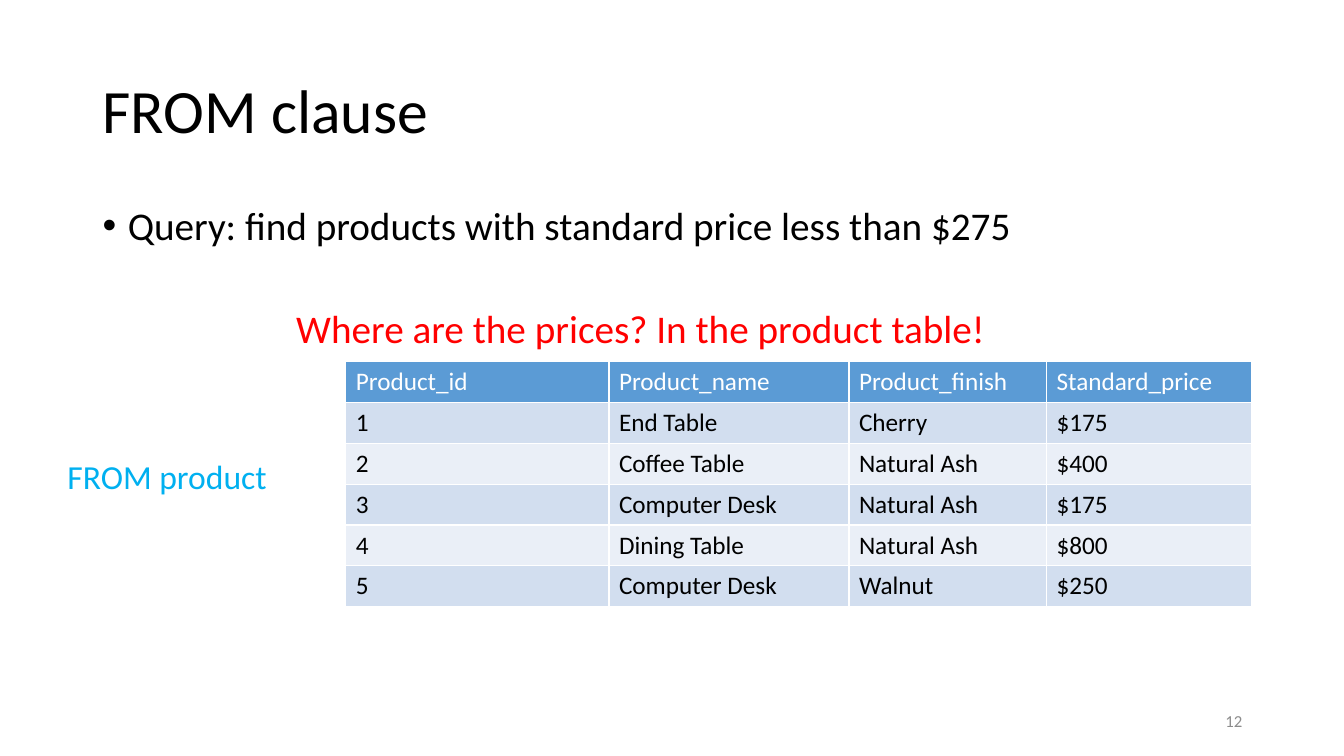
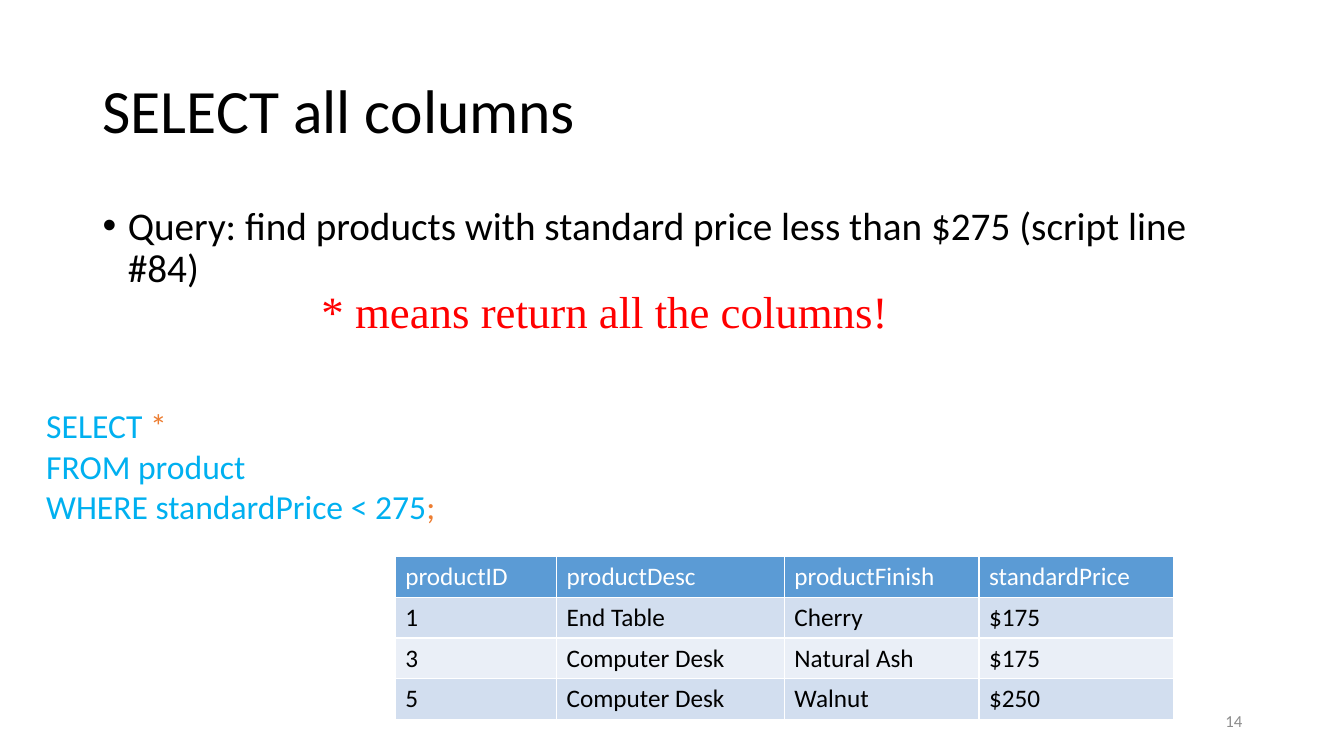
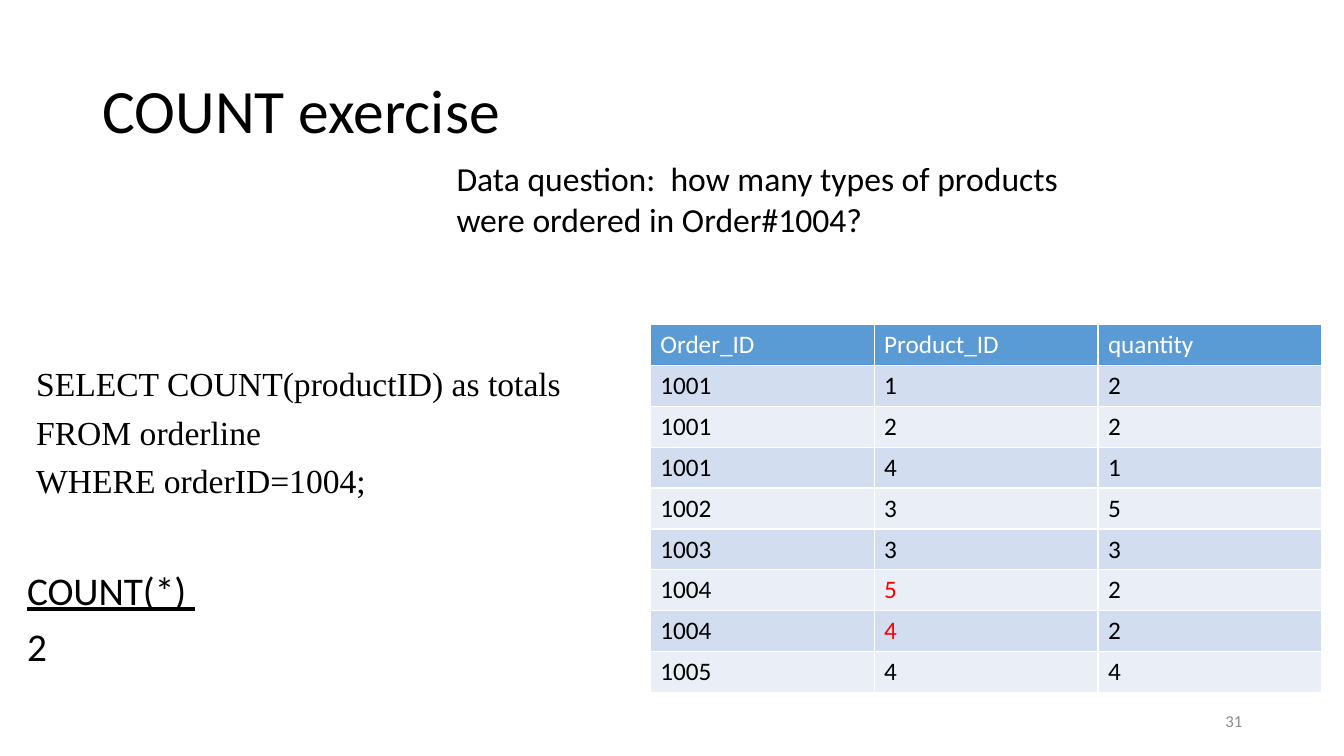
"""Build three slides on SQL clauses, each with text and a product or order table."""
from dataclasses import dataclass

import lxml.etree
import pptx
import pptx.dml.color
import pptx.enum.text
import pptx.oxml.ns
import pptx.slide
import pptx.util

Inches = pptx.util.Inches
Pt = pptx.util.Pt
qn = pptx.oxml.ns.qn
Align = pptx.enum.text.PP_ALIGN
Anchor = pptx.enum.text.MSO_ANCHOR

HUES = {
    "black": "000000", "white": "FFFFFF", "gray": "8C8C8C", "red": "FF0000",
    "cyan": "00B0F0", "orange": "ED7D31",
    "head": "5B9BD5", "odd": "D2DEEF", "even": "EAEFF7",
}
SANS = "Calibri"
SERIF = "Times New Roman"

Line = tuple[str, ...]
Box = tuple[float, float, float, float]


@dataclass(frozen=True)
class Text:
    """A text box; the first run of a line takes hue, later runs take accent."""
    box: Box
    lines: tuple[Line, ...]
    size: int
    hue: str = "black"
    accent: str = "orange"
    font: str = SANS
    left: float = 0
    hang: float = 0
    before: int = 0
    space: float = 1.0
    bullet: str = ""
    under: int = 0
    align: Align = Align.LEFT
    anchor: Anchor = Anchor.TOP


@dataclass(frozen=True)
class Grid:
    """A table; rows whose first cell equals mark show their second cell in red."""
    box: Box
    cols: tuple[float, ...]
    rows: tuple[Line, ...]
    mark: str = ""


@dataclass(frozen=True)
class Page:
    """A slide with its title, number and contents."""
    title: str
    num: int
    texts: tuple[Text, ...]
    grid: Grid


def color(hue: str) -> pptx.dml.color.RGBColor:
    """Look up a named colour."""
    return pptx.dml.color.RGBColor.from_string(HUES[hue])


def style(run, font: str, size: int, hue: str, under: bool = False) -> None:
    """Format one run."""
    run.font.name = font
    run.font.size = Pt(size)
    run.font.bold = False
    run.font.underline = under
    run.font.color.rgb = color(hue)


def indent(para, text: Text) -> None:
    """Set the indents and the bullet of a paragraph."""
    props = para._p.get_or_add_pPr()
    props.set("marL", str(Inches(text.left)))
    props.set("indent", str(Inches(-text.hang)))
    if text.bullet:
        face = lxml.etree.SubElement(props, qn("a:buFont"))
        face.set("typeface", "Arial")
        mark = lxml.etree.SubElement(props, qn("a:buChar"))
        mark.set("char", text.bullet)


def write(slide: pptx.slide.Slide, text: Text) -> None:
    """Draw a text box."""
    frame = slide.shapes.add_textbox(*map(Inches, text.box)).text_frame
    frame.word_wrap = True
    frame.vertical_anchor = text.anchor
    for i, line in enumerate(text.lines):
        para = frame.add_paragraph() if i else frame.paragraphs[0]
        para.text = line[0]
        for part in line[1:]:
            para.add_run().text = part
        para.alignment = text.align
        para.line_spacing = text.space
        para.space_before = Pt(text.before)
        indent(para, text)
        for j, run in enumerate(para.runs):
            style(run, text.font, text.size, text.accent if j else text.hue, i < text.under)


def border(cell) -> None:
    """Give a cell thin white borders."""
    props = cell._tc.get_or_add_tcPr()
    for side in ("a:lnL", "a:lnR", "a:lnT", "a:lnB"):
        edge = lxml.etree.SubElement(props, qn(side))
        edge.set("w", str(Pt(1)))
        fill = lxml.etree.SubElement(edge, qn("a:solidFill"))
        lxml.etree.SubElement(fill, qn("a:srgbClr")).set("val", HUES["white"])


def tabulate(slide: pptx.slide.Slide, grid: Grid) -> None:
    """Draw a table with a header and banded rows."""
    count = len(grid.rows)
    table = slide.shapes.add_table(count, len(grid.cols), *map(Inches, grid.box)).table
    table.first_row = table.horz_banding = False
    for col, width in zip(table.columns, grid.cols):
        col.width = Inches(width)
    for i, row in enumerate(grid.rows):
        table.rows[i].height = Inches(grid.box[3] / count)
        band = ("odd" if i % 2 else "even") if i else "head"
        for j, value in enumerate(row):
            cell = table.cell(i, j)
            border(cell)
            cell.fill.solid()
            cell.fill.fore_color.rgb = color(band)
            cell.text_frame.text = value
            hue = "black" if i else "white"
            if j == 1 and row[0] == grid.mark:
                hue = "red"
            style(cell.text_frame.paragraphs[0].runs[0], SANS, 18, hue)


def title(words: str) -> Text:
    """Make a slide title."""
    return Text((0.92, 0.4, 11.5, 1.45), ((words,),), 44, space=0.9, anchor=Anchor.MIDDLE)


def number(num: int) -> Text:
    """Make a slide number."""
    return Text((9.42, 6.95, 3, 0.4), ((str(num),),), 12, "gray",
                align=Align.RIGHT, anchor=Anchor.MIDDLE)


def body(words: str) -> Text:
    """Make the bulleted body."""
    return Text((0.92, 2, 11.5, 4.76), ((words,),), 28, left=0.25, hang=0.25,
                before=10, space=0.9, bullet="•")


GOODS = (
    ("1", "End Table", "Cherry", "$175"),
    ("2", "Coffee Table", "Natural Ash", "$400"),
    ("3", "Computer Desk", "Natural Ash", "$175"),
    ("4", "Dining Table", "Natural Ash", "$800"),
    ("5", "Computer Desk", "Walnut", "$250"),
)
CHEAP = tuple(row for row in GOODS if int(row[3].strip("$")) < 275)
ORDERS = (
    ("1001", "1", "2"),
    ("1001", "2", "2"),
    ("1001", "4", "1"),
    ("1002", "3", "5"),
    ("1003", "3", "3"),
    ("1004", "5", "2"),
    ("1004", "4", "2"),
    ("1005", "4", "4"),
)
QUERY = "Query: find products with standard price less than $275"

PAGES = (
    Page("FROM clause", 12, (
        body(QUERY),
        Text((2.84, 2.97, 8.37, 0.57),
             (("Where are the prices? In the product table!",),), 28, "red"),
        Text((0.07, 4.47, 2.78, 0.5), (("FROM product",),), 24, "cyan", left=0.5),
    ), Grid((3.43, 3.59, 8.99, 2.43), (2.61, 2.38, 1.96, 2.03),
            (("Product_id", "Product_name", "Product_finish", "Standard_price"), *GOODS))),
    Page("SELECT all columns", 14, (
        body(f"{QUERY} (script line #84)"),
        Text((2.59, 2.77, 8.1, 1.04), (("* means return all the columns!",),), 32, "red",
             font=SERIF, left=0.5),
        Text((-0.14, 3.97, 6.67, 1.31),
             (("SELECT ", "*"), ("FROM product",), ("WHERE standardPrice < 275", ";")),
             24, "cyan", left=0.5),
    ), Grid((3.92, 5.52, 7.73, 1.62), (1.6, 2.26, 1.93, 1.93),
            (("productID", "productDesc", "productFinish", "standardPrice"), *CHEAP))),
    Page("COUNT exercise", 31, (
        Text((0.17, 5.62, 8.2, 1.89), (("COUNT(*) ",), ("2",)), 28,
             left=0.25, hang=0.25, before=10, space=0.9, under=1),
        Text((0.17, 3.55, 8.2, 1.9),
             (("SELECT COUNT(productID) as totals",), ("FROM orderline",),
              ("WHERE orderID=1004;",)),
             24, font=SERIF, left=0.4, hang=0.31, before=6),
        Text((4.43, 1.52, 6.67, 0.91),
             (("Data question:  how many types of products were ordered in Order#1004?",),), 24),
    ), Grid((6.45, 3.22, 6.67, 3.65), (2.22,) * 3,
            (("Order_ID", "Product_ID", "quantity"), *ORDERS), "1004")),
)


def main() -> None:
    """Draw every page and save the deck."""
    deck = pptx.Presentation()
    deck.slide_width, deck.slide_height = Inches(13.33), Inches(7.5)
    for page in PAGES:
        slide = deck.slides.add_slide(deck.slide_layouts[6])
        for text in (title(page.title), *page.texts, number(page.num)):
            write(slide, text)
        tabulate(slide, page.grid)
    deck.save("out.pptx")


if __name__ == "__main__":
    main()
